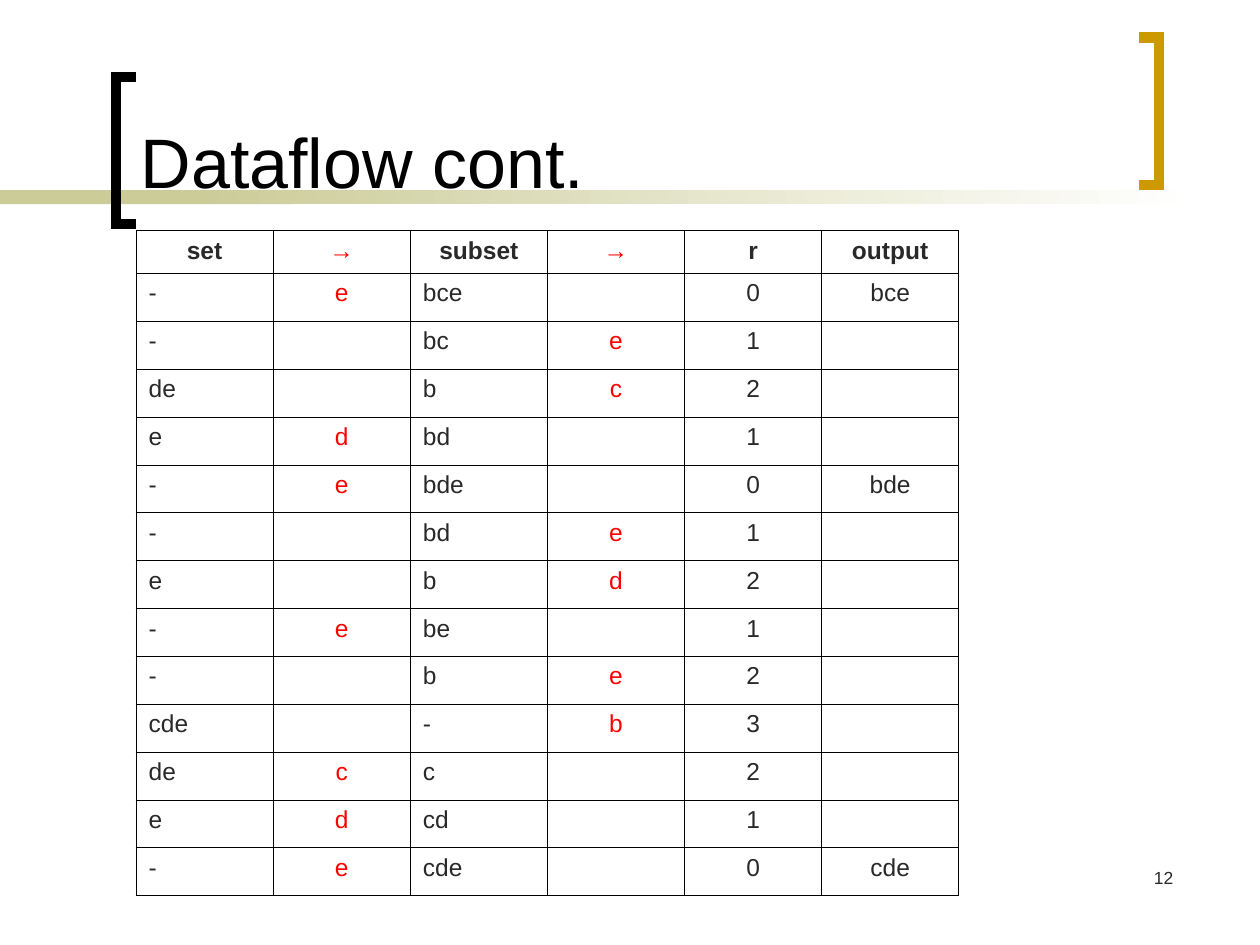
from dataclasses import dataclass

from lxml.etree import SubElement
from pptx import Presentation
from pptx.dml.color import RGBColor as Color
from pptx.enum.shapes import MSO_SHAPE as Preset
from pptx.enum.text import MSO_ANCHOR as Anchor, PP_ALIGN as Align
from pptx.oxml.ns import qn
from pptx.util import Inches, Pt

TITLE = "Dataflow cont."
PAGE_NUMBER = "12"
HEADER = ("set", "→", "subset", "→", "r", "output")
STEPS = [
    ("-", "e", "bce", "", "0", "bce"),
    ("-", "", "bc", "e", "1", ""),
    ("de", "", "b", "c", "2", ""),
    ("e", "d", "bd", "", "1", ""),
    ("-", "e", "bde", "", "0", "bde"),
    ("-", "", "bd", "e", "1", ""),
    ("e", "", "b", "d", "2", ""),
    ("-", "e", "be", "", "1", ""),
    ("-", "", "b", "e", "2", ""),
    ("cde", "", "-", "b", "3", ""),
    ("de", "c", "c", "", "2", ""),
    ("e", "d", "cd", "", "1", ""),
    ("-", "e", "cde", "", "0", "cde"),
]
LEFT_ALIGNED = (0, 2)
MOVE_COLUMNS = (1, 3)
TABLE_LEFT, TABLE_TOP, TABLE_WIDTH = 1.08, 1.83, 6.53
HEADER_HEIGHT, STEP_HEIGHT = 0.34, 0.38
BAND_TOP, BAND_HEIGHT = 1.51, 0.11
BRACKET_WIDTH, BRACKET_HEIGHT = 0.16, 1.17


@dataclass(frozen=True)
class Theme:
    font: str = "Arial"
    title_size: float = 40
    table_size: float = 14
    number_size: float = 10
    bracket_width: float = 6
    border_width: float = 0.45
    black: str = "000000"
    text: str = "292929"
    move: str = "FF0000"
    gold: str = "CC9900"
    sage: str = "CCCC99"
    white: str = "FFFFFF"


theme = Theme()


def style_paragraph(paragraph, size, color, align=Align.LEFT, bold=False):
    paragraph.alignment = align
    font = paragraph.font
    font.name, font.size, font.bold = theme.font, Pt(size), bold
    font.color.rgb = Color.from_string(color)


def add_text(slide, text, box, size, color, align=Align.LEFT, anchor=Anchor.TOP):
    frame = slide.shapes.add_textbox(*map(Inches, box)).text_frame
    frame.word_wrap = True
    frame.vertical_anchor = anchor
    frame.text = text
    style_paragraph(frame.paragraphs[0], size, color, align)


def add_band(slide, left, width):
    box = map(Inches, (left, BAND_TOP, width, BAND_HEIGHT))
    band = slide.shapes.add_shape(Preset.RECTANGLE, *box)
    band.shadow.inherit = False
    band.line.fill.background()
    return band.fill


def add_bracket(slide, tip, spine, top, color):
    bottom = top + BRACKET_HEIGHT
    points = [(tip, top), (spine, top), (spine, bottom), (tip, bottom)]
    start, *rest = [(Inches(x), Inches(y)) for x, y in points]
    builder = slide.shapes.build_freeform(*start)
    builder.add_line_segments(rest, close=False)
    bracket = builder.convert_to_shape()
    bracket.shadow.inherit = False
    bracket.fill.background()
    bracket.line.width = Pt(theme.bracket_width)
    bracket.line.color.rgb = Color.from_string(color)
    SubElement(bracket.line._ln, qn("a:miter"), lim="800000")


def add_borders(cell):
    properties = cell._tc.get_or_add_tcPr()
    for side in ("lnL", "lnR", "lnT", "lnB"):
        line = SubElement(properties, qn(f"a:{side}"), w=str(Pt(theme.border_width)))
        fill = SubElement(line, qn("a:solidFill"))
        SubElement(fill, qn("a:srgbClr"), val=theme.black)


def add_step_table(slide):
    rows = [HEADER, *STEPS]
    height = HEADER_HEIGHT + len(STEPS) * STEP_HEIGHT
    box = map(Inches, (TABLE_LEFT, TABLE_TOP, TABLE_WIDTH, height))
    table = slide.shapes.add_table(len(rows), len(HEADER), *box).table
    table.first_row = table.horz_banding = False
    for row_index, values in enumerate(rows):
        is_header = row_index == 0
        table.rows[row_index].height = Inches(HEADER_HEIGHT if is_header else STEP_HEIGHT)
        for column, value in enumerate(values):
            cell = table.cell(row_index, column)
            cell.text = value
            add_borders(cell)
            cell.fill.background()
            flush_left = column in LEFT_ALIGNED and not is_header
            style_paragraph(
                cell.text_frame.paragraphs[0],
                theme.table_size,
                theme.move if column in MOVE_COLUMNS else theme.text,
                Align.LEFT if flush_left else Align.CENTER,
                is_header,
            )


def main():
    presentation = Presentation()
    presentation.slide_width, presentation.slide_height = Inches(10), Inches(7.5)
    slide = presentation.slides.add_slide(presentation.slide_layouts[6])

    solid = add_band(slide, 0, 2.33)
    solid.solid()
    solid.fore_color.rgb = Color.from_string(theme.sage)
    fade = add_band(slide, 1.58, 7.92)
    fade.gradient()
    fade.gradient_angle = 0
    for stop, color in zip(fade.gradient_stops, (theme.sage, theme.white)):
        stop.color.rgb = Color.from_string(color)

    add_bracket(slide, 0.92 + BRACKET_WIDTH, 0.92, 0.61, theme.black)
    add_bracket(slide, 9.2 - BRACKET_WIDTH, 9.2, 0.3, theme.gold)
    add_text(slide, PAGE_NUMBER, (7.33, 6.83, 2.08, 0.5),
             theme.number_size, theme.text, Align.RIGHT)
    add_step_table(slide)
    add_text(slide, TITLE, (1.02, 0.11, 7.83, 1.55),
             theme.title_size, theme.black, anchor=Anchor.BOTTOM)
    presentation.save("out.pptx")


if __name__ == "__main__":
    main()
